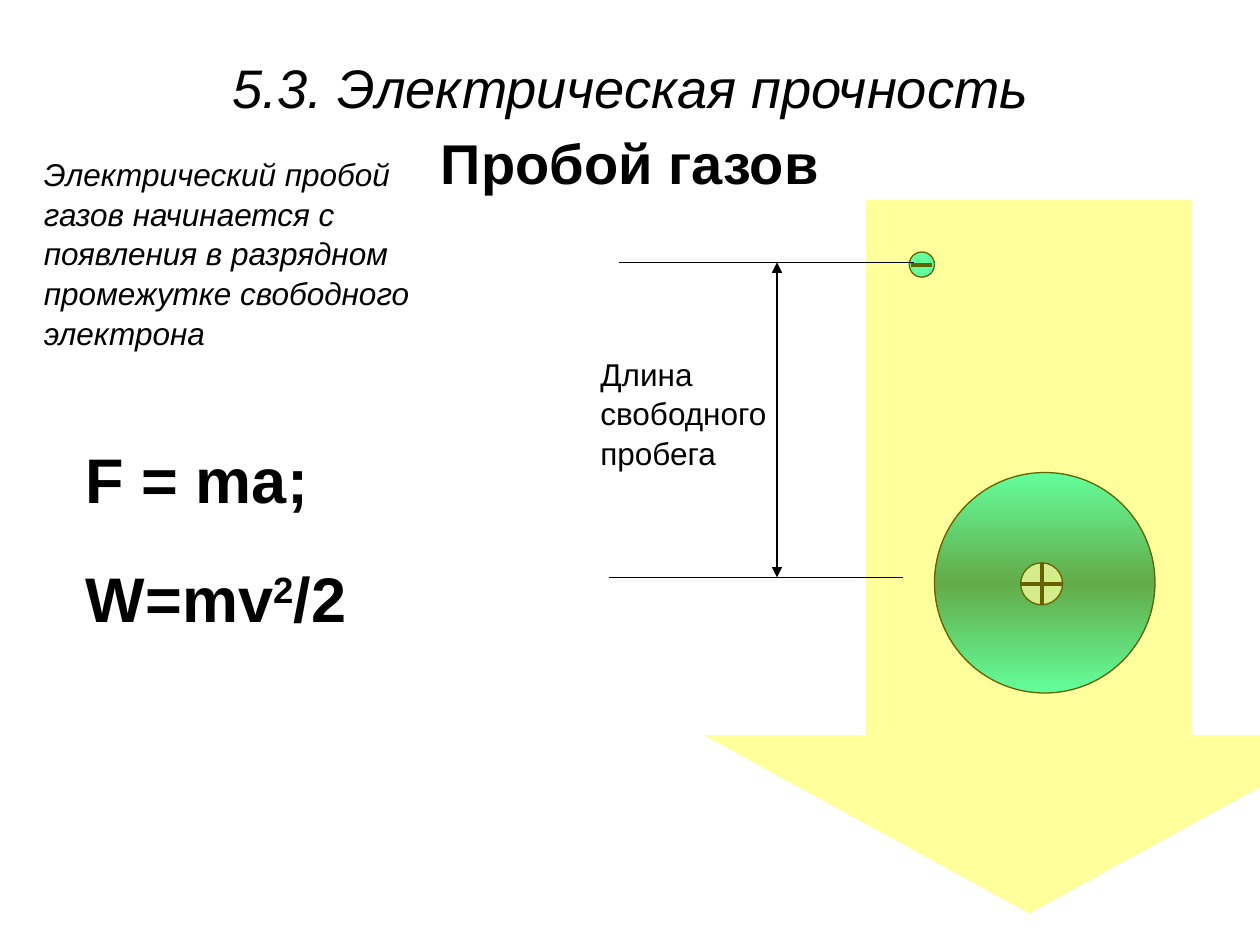
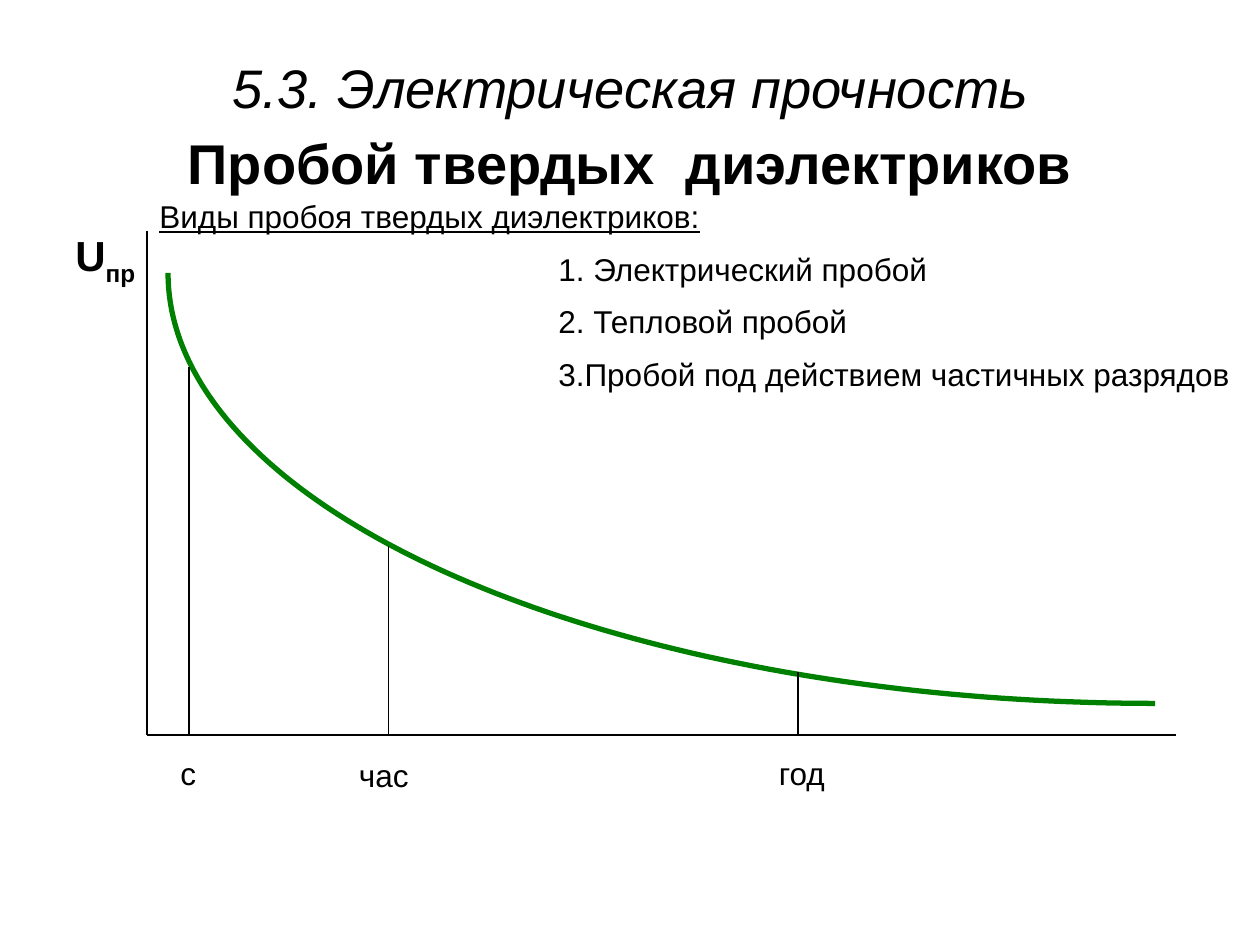
import math

from lxml import etree
from pptx import Presentation
from pptx import util as u
from pptx.dml.color import RGBColor
from pptx.enum import shapes, text
from pptx.oxml import ns

PX = 7620  # 120 px to the inch
FONT = "Arial"
BLACK = RGBColor(0x00, 0x00, 0x00)
YELLOW = RGBColor(0xFF, 0xFF, 0x00)
CYAN = RGBColor(0x00, 0xFF, 0xFF)
TEAL = RGBColor(0x00, 0x76, 0x76)
PALE_BLUE = RGBColor(0xBB, 0xE0, 0xE3)
GREEN = RGBColor(0x00, 0x80, 0x00)

# Shared by both slides
SECTION = "5.3. Электрическая прочность"
TITLE_BOX = (10, 40, 1180, 133)
SECTION_FORMAT = {"size": u.Pt(31), "italic": True, "bold": False}
TOPIC_FORMAT = {"size": u.Pt(32), "italic": False, "bold": True}
BODY = {"size": u.Pt(18)}
LINE_SPACING = 1.05

# Slide 1: breakdown of gases
GAS_TOPIC = "Пробой газов"
GAS_INTRO = ("Электрический пробой газов начинается с появления "
             "в разрядном промежутке свободного электрона")
# A paragraph is a list of (text, baseline shift in percent)
FORMULAS = [[("F = ma;", 0)], [("W=mv", 0), ("2", 30), ("/2", 0)]]
FREE_PATH = "Длина свободного пробега"
ATOM = (890, 450, 210)  # left, top, diameter
NUCLEUS = (972, 536, 40)
ELECTRON = (866, 240, 24)
FIELD_ARROW = (670, 190, 620, 680)
PATH_TOP, PATH_BOTTOM, PATH_X = 250, 550, 740

# Slide 2: breakdown of solid dielectrics
SOLID_TOPIC = "Пробой твердых  диэлектриков"
KINDS_HEADING = "Виды пробоя твердых диэлектриков:"
KINDS = [("1. Электрический пробой", 390),
         ("2. Тепловой пробой", 390),
         ("3.Пробой под действием частичных разрядов", 670)]
KINDS_LEFT, KINDS_TOP, KINDS_STEP = 520, 230, 50
VOLTAGE = [[("U", 0), ("пр", -25)]]
AXIS_LEFT, AXIS_TOP, AXIS_RIGHT, AXIS_BOTTOM = 140, 220, 1120, 700
CURVE = (160, 260, 1100, 670)  # left, top, right, bottom
CURVE_STEPS = 90
# label, label left, label top, label width, mark x, mark top
TIMES = [("с", 160, 710, 40, 180, 350),
         ("час", 330, 712, 90, 370, 520),
         ("год", 730, 710, 70, 760, 640)]


def emu(*lengths):
    return [round(length * PX) for length in lengths]


def apply(target, values):
    for name, value in values.items():
        setattr(target, name, value)


def add_run(paragraph, words, font_format, baseline=0):
    run = paragraph.add_run()
    run.text = words
    apply(run.font, {"name": FONT, **font_format})
    run.font.color.rgb = BLACK
    if baseline:
        run._r.get_or_add_rPr().set("baseline", str(baseline * 1000))


def add_text(slide, box, paragraphs, font_format, gap=0):
    frame = slide.shapes.add_textbox(*emu(*box)).text_frame
    frame.word_wrap = True
    for index, runs in enumerate(paragraphs):
        paragraph = frame.add_paragraph() if index else frame.paragraphs[0]
        paragraph.line_spacing = LINE_SPACING
        if index:
            paragraph.space_before = u.Pt(gap)
        for words, baseline in runs:
            add_run(paragraph, words, font_format, baseline)


def add_label(slide, box, words, **extra):
    add_text(slide, box, [[(words, 0)]], {**BODY, **extra})


def add_line(slide, start, end, width=0.75, arrows=False):
    line = slide.shapes.add_connector(
        shapes.MSO_CONNECTOR.STRAIGHT, *emu(*start, *end))
    line.line.color.rgb = BLACK
    line.line.width = u.Pt(width)
    properties = line._element.spPr
    if arrows:
        for tip in ("a:headEnd", "a:tailEnd"):
            etree.SubElement(properties.find(ns.qn("a:ln")), ns.qn(tip),
                             type="triangle")
    etree.SubElement(properties, ns.qn("a:effectLst"))


def add_ball(slide, left, top, size, color):
    ball = slide.shapes.add_shape(
        shapes.MSO_SHAPE.OVAL, *emu(left, top, size, size))
    ball.shadow.inherit = False
    ball.fill.solid()
    ball.fill.fore_color.rgb = color
    ball.line.color.rgb = BLACK
    ball.line.width = u.Pt(0.75)
    return ball


def shade(shape, *colors):
    """Fill with evenly spaced colours from top to bottom."""
    shape.fill.gradient()
    shape.fill.gradient_angle = 90
    stops = shape._element.spPr.find(".//" + ns.qn("a:gsLst"))
    for stop in list(stops):
        stops.remove(stop)
    for index, color in enumerate(colors):
        position = round(100000 * index / (len(colors) - 1))
        stop = etree.SubElement(stops, ns.qn("a:gs"), pos=str(position))
        etree.SubElement(stop, ns.qn("a:srgbClr"), val=str(color))


def add_titled_slide(deck, topic):
    slide = deck.slides.add_slide(deck.slide_layouts[5])
    title = slide.shapes.title
    apply(title, dict(zip(("left", "top", "width", "height"),
                          emu(*TITLE_BOX))))
    frame = title.text_frame
    apply(frame, {"word_wrap": True, "auto_size": text.MSO_AUTO_SIZE.NONE,
                  "vertical_anchor": text.MSO_ANCHOR.TOP,
                  "margin_top": emu(9)[0]})
    section_line, topic_line = frame.paragraphs[0], frame.add_paragraph()
    apply(section_line, {"alignment": text.PP_ALIGN.CENTER,
                         "line_spacing": LINE_SPACING})
    apply(topic_line, {"alignment": text.PP_ALIGN.CENTER,
                       "line_spacing": 0.4, "space_before": u.Pt(24.5)})
    add_run(section_line, SECTION, SECTION_FORMAT)
    add_run(topic_line, topic, TOPIC_FORMAT)
    return slide


def add_field_arrow(slide):
    arrow = slide.shapes.add_shape(
        shapes.MSO_SHAPE.DOWN_ARROW, *emu(*FIELD_ARROW))
    arrow.shadow.inherit = False
    arrow.adjustments[0], arrow.adjustments[1] = 0.5, 0.274
    arrow.fill.solid()
    arrow.fill.fore_color.rgb = YELLOW
    arrow.line.fill.background()
    color = arrow._element.spPr.find(".//" + ns.qn("a:srgbClr"))
    etree.SubElement(color, ns.qn("a:alpha"), val="39000")


def build_gas_slide(deck):
    slide = add_titled_slide(deck, GAS_TOPIC)
    add_label(slide, (30, 140, 380, 192), GAS_INTRO, italic=True)

    shade(add_ball(slide, *ATOM, CYAN), CYAN, TEAL, CYAN)
    left, top, size = NUCLEUS
    middle_x, middle_y = left + size / 2, top + size / 2
    add_ball(slide, *NUCLEUS, PALE_BLUE)
    add_line(slide, (left, middle_y), (left + size, middle_y), 2.25)
    add_line(slide, (middle_x, top), (middle_x, top + size), 2.25)

    left, top, size = ELECTRON
    add_ball(slide, *ELECTRON, CYAN)
    add_line(slide, (left + 2, top + size / 2),
             (left + size - 2, top + size / 2), 2.25)

    add_field_arrow(slide)
    add_line(slide, (590, PATH_TOP), (870, PATH_TOP))
    add_line(slide, (580, PATH_BOTTOM), (860, PATH_BOTTOM))
    add_line(slide, (PATH_X, PATH_TOP), (PATH_X, PATH_BOTTOM), arrows=True)
    add_label(slide, (560, 330, 200, 120), FREE_PATH)
    add_text(slide, (70, 410, 340, 194), FORMULAS,
             {"size": u.Pt(36), "bold": True}, gap=22.5)


def add_curve(slide):
    """Quarter of an ellipse, falling steeply and then levelling out."""
    left, top, right, bottom = CURVE
    angles = [math.pi / 2 * step / CURVE_STEPS
              for step in range(CURVE_STEPS + 1)]
    points = [emu(right - (right - left) * math.cos(angle),
                  top + (bottom - top) * math.sin(angle))
              for angle in angles]
    builder = slide.shapes.build_freeform(*points[0])
    builder.add_line_segments(points[1:], close=False)
    curve = builder.convert_to_shape()
    curve.shadow.inherit = False
    curve.fill.background()
    curve.line.color.rgb = GREEN
    curve.line.width = u.Pt(3)


def build_solid_slide(deck):
    slide = add_titled_slide(deck, SOLID_TOPIC)
    add_label(slide, (140, 180, 540, 48), KINDS_HEADING, underline=True)
    for index, (kind, width) in enumerate(KINDS):
        top = KINDS_TOP + index * KINDS_STEP
        add_label(slide, (KINDS_LEFT, top, width, 48), kind)

    origin = (AXIS_LEFT, AXIS_BOTTOM)
    add_line(slide, (AXIS_LEFT, AXIS_TOP), origin)
    add_line(slide, origin, (AXIS_RIGHT, AXIS_BOTTOM))
    add_text(slide, (60, 210, 100, 67), VOLTAGE,
             {"size": u.Pt(24), "bold": True})
    add_curve(slide)
    for label, left, top, width, mark_x, mark_top in TIMES:
        add_line(slide, (mark_x, mark_top), (mark_x, AXIS_BOTTOM))
        add_label(slide, (left, top, width, 48), label)


def main():
    deck = Presentation()
    deck.slide_width, deck.slide_height = emu(1200, 900)
    build_gas_slide(deck)
    build_solid_slide(deck)
    deck.save("out.pptx")


if __name__ == "__main__":
    main()
